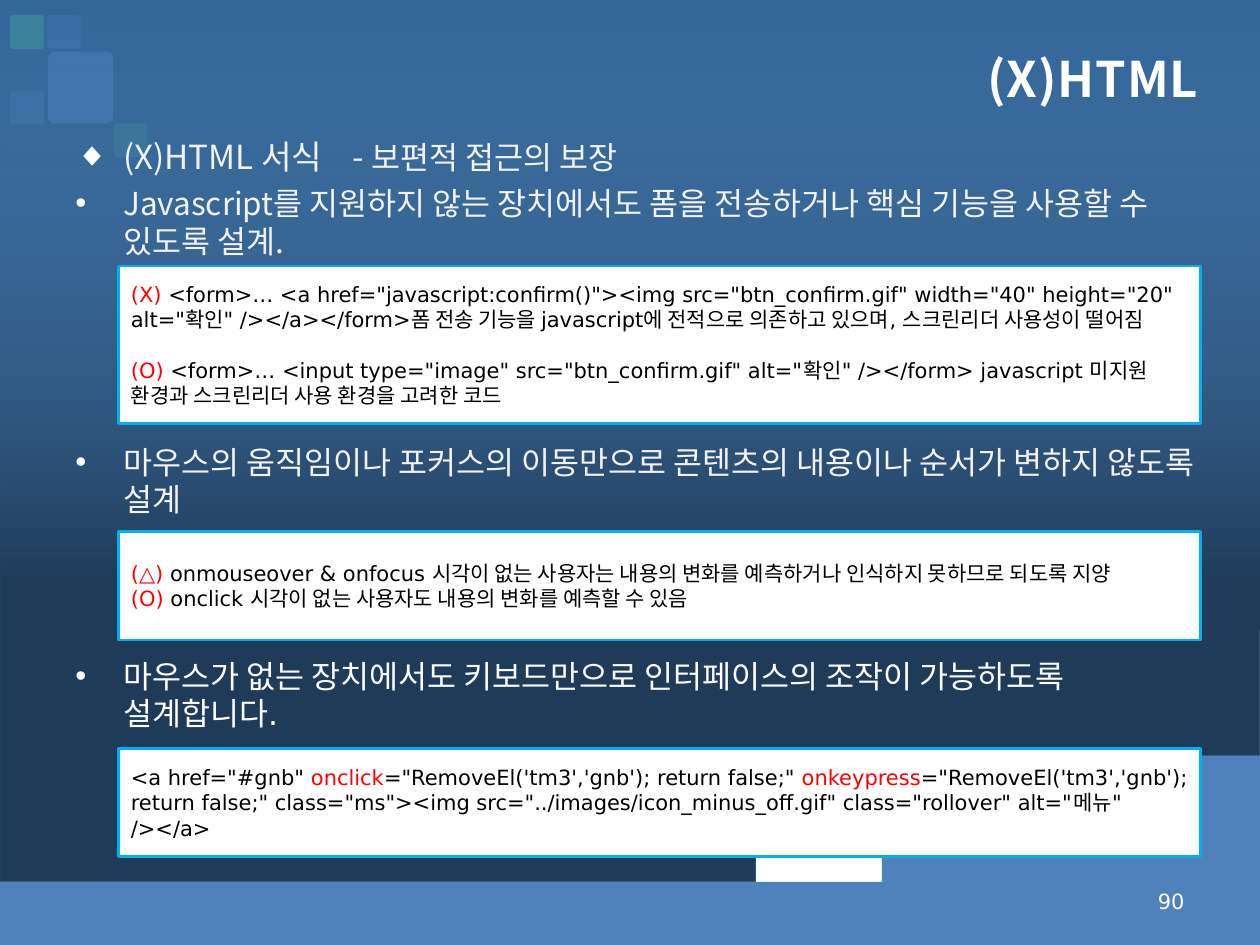
from lxml import etree
from pptx import Presentation
from pptx.dml.color import RGBColor
from pptx.enum.shapes import MSO_SHAPE
from pptx.enum.text import MSO_ANCHOR, PP_ALIGN
from pptx.oxml.ns import qn
from pptx.util import Inches, Pt

RECT, ROUND = MSO_SHAPE.RECTANGLE, MSO_SHAPE.ROUNDED_RECTANGLE
MID, TOP = MSO_ANCHOR.MIDDLE, MSO_ANCHOR.TOP
LEFT, RIGHT = PP_ALIGN.LEFT, PP_ALIGN.RIGHT
SANS, NOTO = "DejaVu Sans", "Noto Sans CJK KR"
RED, BLACK, WHITE, PALE = "FF0000", "000000", "FFFFFF", "F2F2F2"
BLUE, TEAL, CYAN = "4F81BD", "3F949A", "00B0F0"

WAVES = [
    (WHITE, (0, 6.78), [
        ((1.61, 6.85), (2.93, 6.82), (5.21, 6.59)),
        ((7.49, 6.36), (9.48, 5.59), (10, 5.4)),
    ]),
    (BLUE, (0, 6.91), [
        ((2.46, 6.99), (4.45, 6.86), (6.15, 6.68)),
        ((7.84, 6.49), (9.59, 5.99), (10, 5.87)),
    ]),
]
TILES = [
    (0.37, 0.12, 0.27, 0.27, BLUE, 30),
    (0.08, 0.72, 0.27, 0.27, BLUE, 30),
    (0.08, 0.12, 0.27, 0.27, TEAL, 60),
    (0.9, 0.98, 0.27, 0.27, TEAL, 30),
    (0.38, 0.41, 0.52, 0.57, BLUE, 50),
]
POINTS = [
    ("◆", 0, [("(X)HTML 서식", 19, NOTO, PALE, 0), (" ", 19, NOTO, PALE, 13),
              ("- ", 19, NOTO, PALE, 0),
              ("보편적 접근의 보장", 18, NOTO, PALE, 0)]),
    ("•", 4.9, [("Javascript를 지원하지 않는 장치에서도 폼을 전송하거나 핵심 기능을 "
                 "사용할 수 있도록 설계.", 18, NOTO, PALE, 0)]),
    ("•", 104.9, [("마우스의 움직임이나 포커스의 이동만으로 콘텐츠의 내용이나 순서가 "
                   "변하지 않도록 설계", 18, NOTO, PALE, 0)]),
    ("•", 79.7, [("마우스가 없는 장치에서도 키보드만으로 인터페이스의 조작이 "
                  "가능하도록 설계합니다.", 18, SANS, WHITE, 0)]),
]
CODES = [
    (2.11, 1.25, 14.4, [
        [("(X) ", RED),
         ('<form>… <a href="javascript:confirm()"><img src="btn_confirm.gif" '
          'width="40" height="20" alt="확인" /></a></form>폼 전송 기능을 '
          'javascript에 전적으로 의존하고 있으며, 스크린리더 사용성이 떨어짐', BLACK)],
        [("(O) ", RED),
         ('<form>… <input type="image" src="btn_confirm.gif" alt="확인" /></form> '
          'javascript 미지원 환경과 스크린리더 사용 환경을 고려한 코드', BLACK)],
    ]),
    (4.22, 0.86, 0, [
        [("(△) ", RED),
         ("onmouseover & onfocus 시각이 없는 사용자는 내용의 변화를 예측하거나 "
          "인식하지 못하므로 되도록 지양", BLACK)],
        [("(O) ", RED),
         ("onclick 시각이 없는 사용자도 내용의 변화를 예측할 수 있음", BLACK)],
    ]),
    (5.94, 0.86, 0, [
        [('<a href="#gnb" ', BLACK), ("onclick", RED),
         ("=\"RemoveEl('tm3','gnb'); return false;\" ", BLACK),
         ("onkeypress", RED),
         ("=\"RemoveEl('tm3','gnb'); return false;\" class=\"ms\">"
          "<img src=\"../images/icon_minus_off.gif\" class=\"rollover\" "
          "alt=\"메뉴\" /></a>", BLACK)],
    ]),
]


def tint(color, code):
    color.rgb = RGBColor.from_string(code)


def paint(shape, code):
    shape.shadow.inherit = False
    shape.fill.solid()
    tint(shape.fill.fore_color, code)
    shape.line.fill.background()


def fade(node, pct):
    for color in node.iter(qn("a:srgbClr")):
        etree.SubElement(color, qn("a:alpha"), val=str(pct * 1000))


def write(para, text, size, face, code, gap=0):
    run = para.add_run()
    run.text = text
    font = run.font
    font.size, font.name = Pt(size), face
    tint(font.color, code)
    if gap:
        run._r.get_or_add_rPr().set("spc", str(int(gap * 100)))
    return font


def bullet(para, mark):
    props = para._p.get_or_add_pPr()
    props.set("marL", str(Inches(0.38)))
    props.set("indent", str(-Inches(0.38)))
    color = etree.SubElement(props, qn("a:buClr"))
    etree.SubElement(color, qn("a:srgbClr"), val=WHITE)
    etree.SubElement(props, qn("a:buFont"), typeface="Arial")
    etree.SubElement(props, qn("a:buChar"), char=mark)


def curve(start, bends, steps=30):
    dots = [start]
    for b, c, d in bends:
        a = dots[-1]
        for i in range(1, steps + 1):
            t = i / steps
            u = 1 - t
            dots.append(tuple(
                u**3 * p + 3 * u * u * t * q + 3 * u * t * t * r + t**3 * s
                for p, q, r, s in zip(a, b, c, d)))
    return dots


def frame(shape, anchor):
    body = shape.text_frame
    body.word_wrap = True
    body.vertical_anchor = anchor
    return body


def paras(body, rows):
    for i, row in enumerate(rows):
        yield (body.add_paragraph() if i else body.paragraphs[0]), row


def box(*spot):
    return [Inches(v) for v in spot]


def scene(slide):
    fill = slide.background.fill
    fill.solid()
    tint(fill.fore_color, "336699")
    shapes = slide.shapes
    shade = shapes.add_shape(RECT, *box(0, 0, 10, 7.5))
    paint(shade, WHITE)
    shade.fill.gradient()
    shade.fill.gradient_angle = 270
    for stop, spot, code, pct in zip(
            shade.fill.gradient_stops, (0, 0.61), ("8DB3E2", BLACK), (0, 40)):
        stop.position = spot
        tint(stop.color, code)
        fade(stop._gs, pct)
    for code, start, bends in WAVES:
        dots = curve(start, bends) + [(10, 7.5), (0, 7.5)]
        path = shapes.build_freeform(*dots[0], scale=Inches(1))
        path.add_line_segments(dots[1:], close=True)
        paint(path.convert_to_shape(), code)
    for *spot, code, pct in TILES:
        tile = shapes.add_shape(ROUND, *box(*spot))
        tile.adjustments[0] = 0.1
        paint(tile, code)
        fade(tile._element.spPr, pct)


def main():
    deck = Presentation()
    deck.slide_width, deck.slide_height = box(10, 7.5)
    slide = deck.slides.add_slide(deck.slide_layouts[5])
    shapes = slide.shapes
    scene(slide)

    title = shapes.title
    shapes._spTree.append(title._element)
    title.left, title.top, title.width, title.height = box(0.5, 0.3, 9.11, 0.64)
    para = frame(title, MID).paragraphs[0]
    para.alignment = RIGHT
    write(para, "(X)HTML", 28, NOTO, WHITE, 0.5).bold = True

    body = frame(shapes.add_textbox(*box(0.5, 1.05, 9.11, 5)), TOP)
    for para, (mark, gap, runs) in paras(body, POINTS):
        para.line_spacing, para.space_before = Pt(21.4), Pt(gap)
        bullet(para, mark)
        for run in runs:
            write(para, *run)

    for top, high, gap, rows in CODES:
        card = shapes.add_shape(RECT, *box(0.94, top, 8.59, high))
        paint(card, WHITE)
        tint(card.line.color, CYAN)
        card.line.width = Pt(1.5)
        for i, (para, row) in enumerate(paras(frame(card, MID), rows)):
            para.alignment = LEFT
            para.space_before = Pt(gap if i else 0)
            for text, code in row:
                write(para, text, 12, SANS, code)

    page = shapes.add_textbox(*box(7.17, 6.95, 2.33, 0.4))
    para = frame(page, MID).paragraphs[0]
    para.alignment = RIGHT
    write(para, "90", 12, SANS, WHITE)
    deck.save("out.pptx")


if __name__ == "__main__":
    main()
